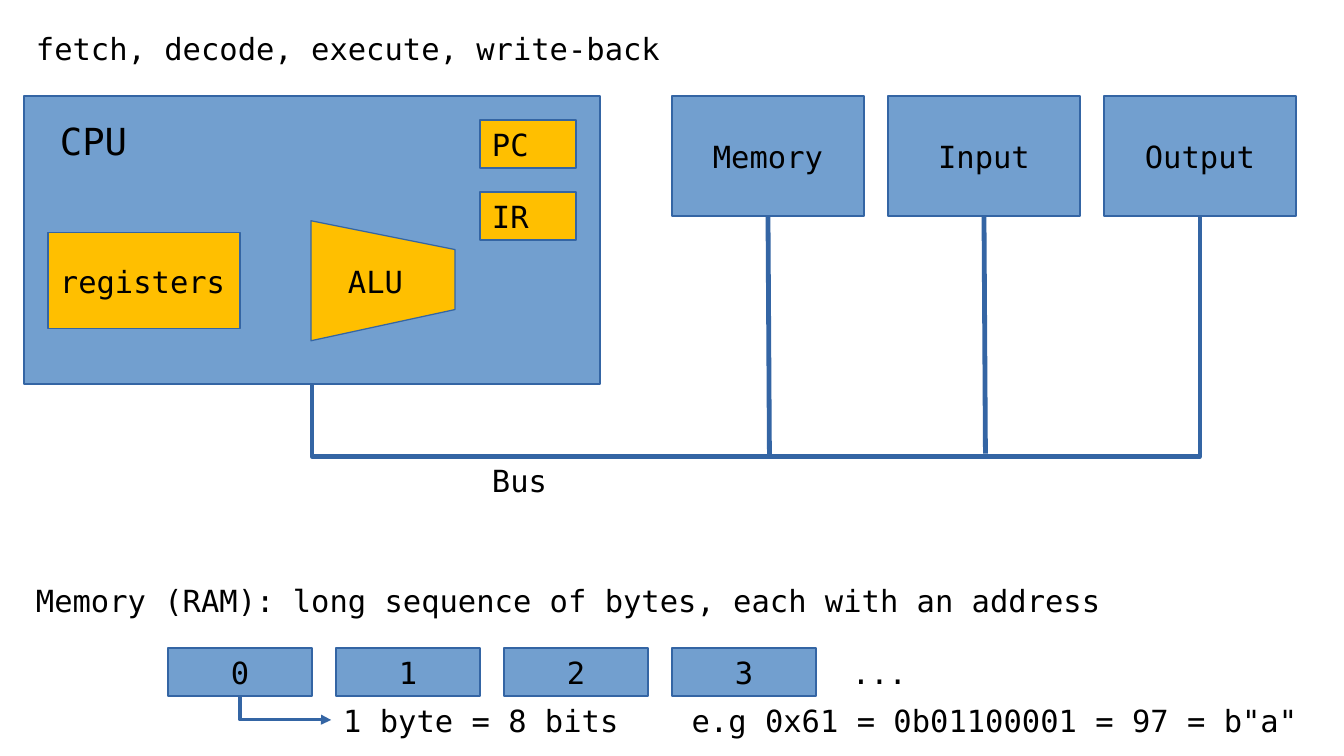
from dataclasses import dataclass
from lxml.etree import SubElement
from pptx import Presentation
from pptx.dml.color import RGBColor
from pptx.enum.shapes import MSO_CONNECTOR, MSO_SHAPE
from pptx.enum.text import MSO_ANCHOR, PP_ALIGN
from pptx.oxml.ns import qn
from pptx.util import Cm, Pt

BLUE, GOLD, EDGE, BLACK = "729FCF", "FFBF00", "3465A4", "000000"
FONT = "DejaVu Sans Mono"
THICK = 2.83


@dataclass
class Box:
    left: float
    top: float
    width: float
    height: float
    fill: str
    text: str = ""


@dataclass
class Label:
    left: float
    top: float
    width: float
    text: str
    size: int = 18
    tab: float = 0


@dataclass
class Wire:
    start: tuple[float, float]
    end: tuple[float, float]


@dataclass
class Elbow(Wire):
    turn: int  # 1 is a clockwise quarter turn, -1 the other way
    bend: float  # place of the middle leg, as a share of the height
    weight: float
    arrow: bool = False


def color(code: str) -> RGBColor:
    return RGBColor.from_string(code)


def write(frame, text: str, size: int = 18):
    para = frame.paragraphs[0]
    run = para.add_run()
    run.text = text
    run.font.name = FONT
    run.font.size = Pt(size)
    run.font.color.rgb = color(BLACK)
    return para


def paint(shape, fill: str) -> None:
    shape.shadow.inherit = False
    shape.fill.solid()
    shape.fill.fore_color.rgb = color(fill)
    shape.line.color.rgb = color(EDGE)
    shape.line.width = Pt(0)


def draw_box(box: Box) -> None:
    shape = shapes.add_shape(MSO_SHAPE.RECTANGLE, Cm(box.left), Cm(box.top),
                             Cm(box.width), Cm(box.height))
    paint(shape, box.fill)
    if box.text:
        frame = shape.text_frame
        frame.vertical_anchor = MSO_ANCHOR.MIDDLE
        write(frame, box.text).alignment = PP_ALIGN.CENTER


def draw_label(label: Label) -> None:
    frame = shapes.add_textbox(Cm(label.left), Cm(label.top),
                               Cm(label.width), Cm(1)).text_frame
    frame.word_wrap = True
    para = write(frame, label.text, label.size)
    if label.tab:
        stops = SubElement(para._p.get_or_add_pPr(), qn("a:tabLst"))
        SubElement(stops, qn("a:tab"), pos=str(Cm(label.tab)), algn="l")


def join(kind, start: tuple[float, float], end: tuple[float, float],
         weight: float):
    line = shapes.add_connector(kind, *map(Cm, start), *map(Cm, end))
    line.line.color.rgb = color(EDGE)
    line.line.width = Pt(weight)
    SubElement(line._element.spPr, qn("a:effectLst"))
    return line


def draw_elbow(item: Elbow) -> None:
    # Turn the end points back about their centre, then rotate the connector
    (x1, y1), (x2, y2) = item.start, item.end
    mx, my = (x1 + x2) / 2, (y1 + y2) / 2
    dx, dy = item.turn * (y1 - my), item.turn * (mx - x1)
    line = join(MSO_CONNECTOR.ELBOW, (mx + dx, my + dy), (mx - dx, my - dy),
                item.weight)
    props = line._element.spPr
    props.find(qn("a:xfrm")).set("rot", str(item.turn % 4 * 5400000))
    geom = props.find(qn("a:prstGeom"))
    guides = geom.find(qn("a:avLst"))
    if guides is None:
        guides = SubElement(geom, qn("a:avLst"))
    SubElement(guides, qn("a:gd"), name="adj1",
               fmla=f"val {round(item.bend * 100000)}")
    if item.arrow:
        SubElement(line.line._get_or_add_ln(), qn("a:tailEnd"),
                   type="triangle")


deck = Presentation()
deck.slide_width, deck.slide_height = Cm(28), Cm(15.75)
shapes = deck.slides.add_slide(deck.slide_layouts[6]).shapes

# CPU with its registers
parts = [
    Box(0.5, 2, 12, 6, BLUE),
    Box(1, 4.85, 4, 2, GOLD),
    Box(10, 2.5, 2, 1, GOLD),
    Box(10, 4, 2, 1, GOLD),
]
# Devices on the bus, then the bytes of memory
parts += [Box(14 + 4.5 * i, 2, 4, 2.5, BLUE, name)
          for i, name in enumerate(["Memory", "Input", "Output"])]
parts += [Box(3.5 + 3.5 * i, 13.5, 3, 1, BLUE, str(i)) for i in range(4)]
for part in parts:
    draw_box(part)

# ALU
pen = shapes.build_freeform(Cm(6.48), Cm(4.6), scale=1.0)
pen.add_line_segments([(Cm(x), Cm(y)) for x, y in
                       [(9.48, 5.2), (9.48, 6.45), (6.48, 7.1)]], close=True)
paint(pen.convert_to_shape(), GOLD)

# Bus, its branches and the arrow from the first byte
draw_elbow(Elbow((6.5, 8), (25, 4.5), 1, -0.43, THICK))
for wire in [Wire((16, 4.5), (16.03, 9.5)), Wire((20.5, 4.5), (20.53, 9.45))]:
    join(MSO_CONNECTOR.STRAIGHT, wire.start, wire.end, THICK)
draw_elbow(Elbow((5, 14.5), (6.9, 15), -1, 0.99, 0, True))

# Text
labels = [
    Label(0.5, 0.5, 14, "fetch, decode, execute, write-back"),
    Label(1, 2.34, 3, "CPU", 22),
    Label(1, 5.35, 4, "registers"),
    Label(10, 2.5, 2, "PC"),
    Label(10, 4, 2, "IR"),
    Label(7, 5.35, 2, "ALU"),
    Label(10, 9.5, 2, "Bus"),
    Label(0.5, 12, 24.5,
          "Memory (RAM): long sequence of bytes, each with an address"),
    Label(17.5, 13.5, 3, "..."),
    Label(6.9, 14.5, 21.1,
          '1 byte = 8 bits\te.g 0x61 = 0b01100001 = 97 = b"a"', tab=7.26),
]
for label in labels:
    draw_label(label)

deck.save("out.pptx")
